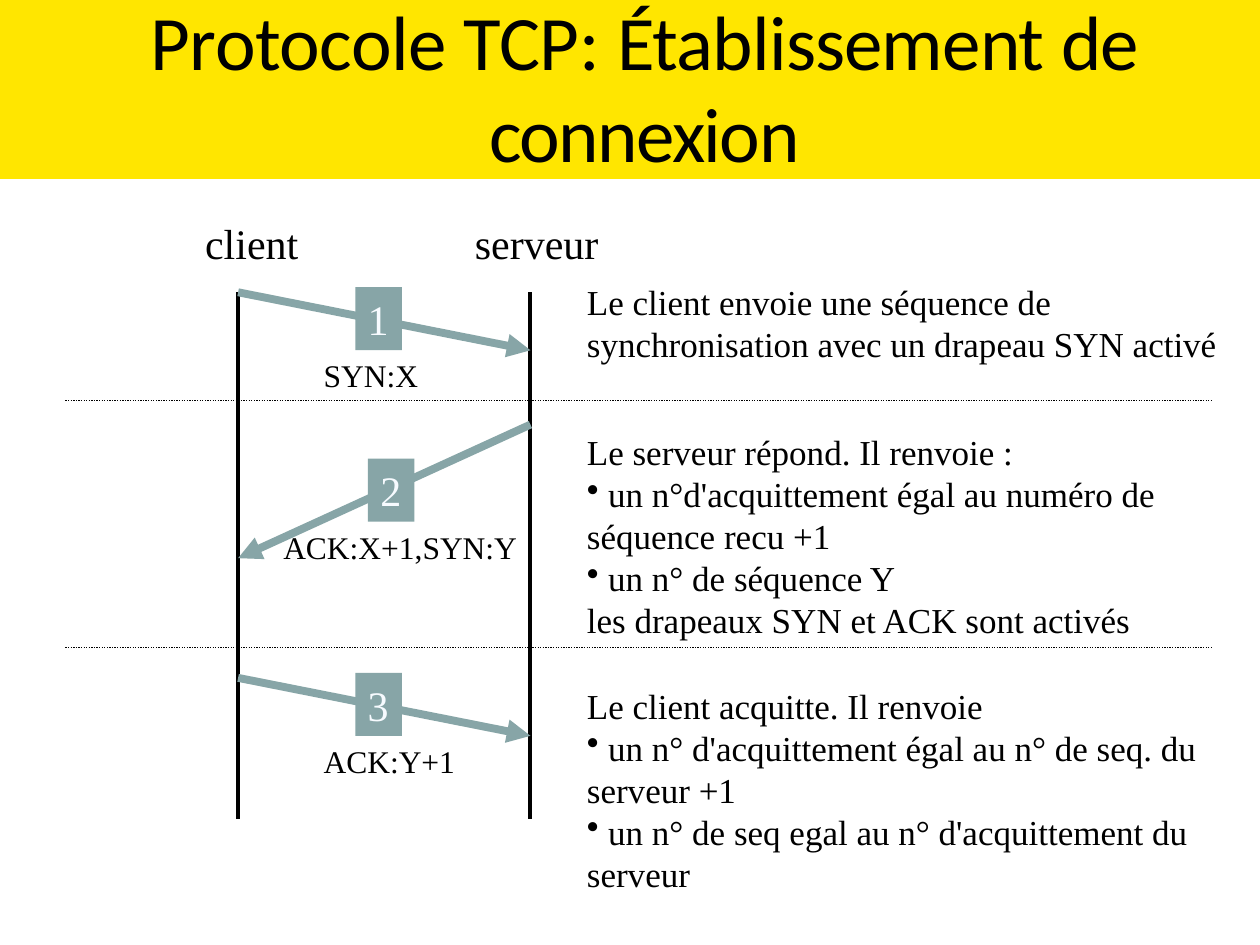
from lxml import etree
from pptx import Presentation, util as u
from pptx.dml.color import RGBColor
from pptx.enum import dml, shapes, text
from pptx.oxml.ns import qn

SERIF = "Times New Roman"
BLACK, TEAL, PALE, YELLOW = "000000", "87A5A7", "F7FBFF", "FFE600"

# Columns and rows of the sequence diagram, in inches
CLIENT_X, SERVER_X = 1.89, 4.21
LIFE_TOP, LIFE_END = 2.32, 6.5
RULE_LEFT, RULE_RIGHT = 0.52, 9.61
NOTE_X, NOTE_W = 4.56, 5.25
BADGE_W, BADGE_H = 0.37, 0.5

# Each step: sender to receiver, start row, drop, badge, label, note
STEPS = [
    dict(ends=(CLIENT_X, SERVER_X), top=2.32, drop=0.46, badge=(2.82, 2.28),
         label=("SYN:X", 2.47, 0.95), note=(2.18, 0.77), lines=[
             "Le client envoie une séquence de synchronisation avec un drapeau SYN activé"]),
    dict(ends=(SERVER_X, CLIENT_X), top=3.37, drop=1.06, badge=(2.92, 3.64),
         label=("ACK:X+1,SYN:Y", 2.15, 2.06), note=(3.37, 1.77), lines=[
             "Le serveur répond. Il renvoie :",
             "• un n°d'acquittement égal au numéro de séquence recu +1",
             "• un n° de séquence Y",
             "les drapeaux SYN et ACK sont activés"]),
    dict(ends=(CLIENT_X, SERVER_X), top=5.38, drop=0.46, badge=(2.82, 5.34),
         label=("ACK:Y+1", 2.47, 1.26), note=(5.38, 1.77), lines=[
             "Le client acquitte. Il renvoie",
             "• un n° d'acquittement égal au n° de seq. du serveur +1",
             "• un n° de seq egal au n° d'acquittement du serveur"]),
]
TITLE_RUNS = [("Protocole ", -30), ("TCP: ", -20), ("Établissement ", -50),
              ("de ", -60), ("connexion", -90)]


def colour(hex_string):
    return RGBColor.from_string(hex_string)


def inches(*lengths):
    return [u.Inches(length) for length in lengths]


def apply(target, **values):
    for name, value in values.items():
        setattr(target, name, value)


def add_run(paragraph, words, size, ink=BLACK, face=SERIF):
    run = paragraph.add_run()
    run.text = words
    apply(run.font, name=face, size=u.Pt(size))
    run.font.color.rgb = colour(ink)
    return run


def add_line(slide, start, end, ink=BLACK, width=2.25, dash=None, arrow=False):
    line = slide.shapes.add_connector(
        shapes.MSO_CONNECTOR.STRAIGHT, *inches(*start, *end))
    line.line.color.rgb = colour(ink)
    line.line.width = u.Pt(width)
    if dash:
        line.line.dash_style = dash
    if arrow:
        tail = etree.SubElement(line.line._get_or_add_ln(), qn("a:tailEnd"))
        tail.set("type", "triangle")
    etree.SubElement(line._element.spPr, qn("a:effectLst"))


def add_block(slide, box, fill):
    block = slide.shapes.add_shape(shapes.MSO_SHAPE.RECTANGLE, *inches(*box))
    block.shadow.inherit = False
    block.fill.solid()
    block.fill.fore_color.rgb = colour(fill)
    block.line.fill.background()
    return block


def add_text(slide, box, lines, size, wrap=False):
    frame = slide.shapes.add_textbox(*inches(*box)).text_frame
    apply(frame, word_wrap=wrap, auto_size=text.MSO_AUTO_SIZE.SHAPE_TO_FIT_TEXT)
    for index, words in enumerate(lines):
        paragraph = frame.paragraphs[0] if index == 0 else frame.add_paragraph()
        if words.startswith("•"):
            # The bullet takes the font of its text
            properties = paragraph._p.get_or_add_pPr()
            etree.SubElement(properties, qn("a:buFontTx"))
            etree.SubElement(properties, qn("a:buChar")).set("char", "•")
            words = words[1:]
        add_run(paragraph, words, size)


def add_badge(slide, corner, number):
    badge = add_block(slide, (*corner, BADGE_W, BADGE_H), TEAL)
    frame = badge.text_frame
    apply(frame, word_wrap=False, vertical_anchor=text.MSO_ANCHOR.TOP,
          auto_size=text.MSO_AUTO_SIZE.SHAPE_TO_FIT_TEXT)
    frame.paragraphs[0].alignment = text.PP_ALIGN.LEFT
    add_run(frame.paragraphs[0], str(number), 24, PALE)


def add_title(slide):
    frame = add_block(slide, (0, -0.19, 10, 1.61), YELLOW).text_frame
    apply(frame, word_wrap=True, vertical_anchor=text.MSO_ANCHOR.MIDDLE,
          margin_left=0, margin_right=0, margin_bottom=0, margin_top=u.Inches(0.13))
    heading = frame.paragraphs[0]
    apply(heading, alignment=text.PP_ALIGN.CENTER, space_before=u.Pt(9.1))
    heading._p.get_or_add_pPr().set("marL", str(u.Inches(0.23)))
    for words, spacing in TITLE_RUNS:
        run = add_run(heading, words, 44, face="Calibri")
        run._r.get_or_add_rPr().set("spc", str(spacing))


def add_step(slide, number, step):
    sender, receiver = step["ends"]
    add_line(slide, (sender, step["top"]), (receiver, step["top"] + step["drop"]),
             TEAL, 4.5, arrow=True)
    add_badge(slide, step["badge"], number)
    # The message label sits right under its badge
    message, left, width = step["label"]
    add_text(slide, (left, step["badge"][1] + BADGE_H, width, 0.4), [message], 18)
    top, height = step["note"]
    add_text(slide, (NOTE_X, top, NOTE_W, height), step["lines"], 20, wrap=True)


def main():
    deck = Presentation()
    apply(deck, slide_width=u.Inches(10), slide_height=u.Inches(7.5))
    slide = deck.slides.add_slide(deck.slide_layouts[6])

    # Lifelines of both hosts
    for host, x, left, width in (("client", CLIENT_X, 1.53, 0.94),
                                 ("serveur", SERVER_X, 3.67, 1.18)):
        add_line(slide, (x, LIFE_TOP), (x, LIFE_END))
        add_text(slide, (left, 1.68, width, 0.5), [host], 24)

    # Three-way handshake
    for number, step in enumerate(STEPS, 1):
        add_step(slide, number, step)

    # Dotted rules between the steps
    for y in (3.18, 5.14):
        add_line(slide, (RULE_LEFT, y), (RULE_RIGHT, y), width=0.75,
                 dash=dml.MSO_LINE.ROUND_DOT)

    add_title(slide)
    deck.save("out.pptx")


if __name__ == "__main__":
    main()
